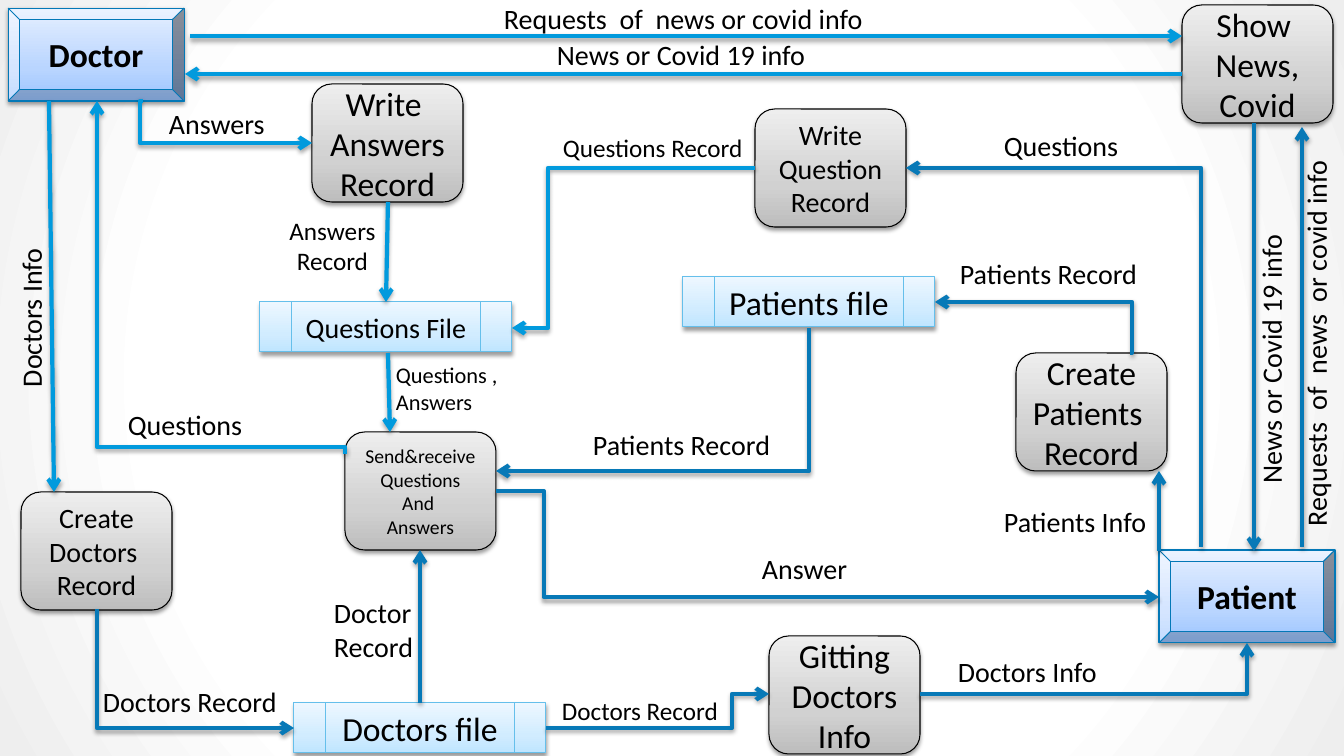
"""Build the data flow diagram of a doctor and patient question service."""
import lxml.etree
import pptx
import pptx.dml.color
import pptx.enum.shapes
import pptx.enum.text
import pptx.oxml.ns
import pptx.util

PX = 914400 / 100.8
FONT = "Calibri"
BLACK = "000000"
LIGHT_BLUE = "019ADD"
DARK_BLUE = "0779B7"
SHAPES = pptx.enum.shapes.MSO_SHAPE
LINKS = pptx.enum.shapes.MSO_CONNECTOR
CENTER = pptx.enum.text.PP_ALIGN.CENTER
qn = pptx.oxml.ns.qn

ENTITY = (SHAPES.BEVEL, 176, 93, ((0, "9CC5FF"), (35, "B9D5FF"), (100, "E5EFFF")), "0378B7", True)
PROCESS = (SHAPES.ROUNDED_RECTANGLE, 151, 118,
           ((0, "BDBDBD"), (35, "D1D1D1"), (100, "EEEEEE")), BLACK, False)
STORE = (SHAPES.FLOWCHART_PREDEFINED_PROCESS, 252, 50,
         ((0, "BFE5FF"), (35, "D1ECFF"), (100, "EDF7FF")), "65BFEB", False)

NODES = [
    (ENTITY, 8, 8, 24, "Doctor"),
    (ENTITY, 1159, 550, 24, "Patient"),
    (PROCESS, 312, 84, 24, "Write \nAnswers\nRecord"),
    (PROCESS, 769, 636, 24, "Gitting\nDoctors\nInfo"),
    (PROCESS, 1016, 353, 24, "Create\nPatients \nRecord"),
    (PROCESS, 755, 109, 20, "Write\nQuestion\nRecord"),
    (PROCESS, 1182, 5, 24, "Show \nNews,\nCovid"),
    (PROCESS, 345, 432, 14, "Send&receive\nQuestions\nAnd \nAnswers"),
    (PROCESS, 21, 492, 20, "Create\nDoctors \nRecord"),
    (STORE, 260, 302, 20, "Questions File"),
    (STORE, 294, 703, 24, "Doctors file"),
    (STORE, 683, 277, 24, "Patients file"),
]

STRAIGHT_ARROWS = [
    (LIGHT_BLUE, (190, 36), (1182, 36)),
    (LIGHT_BLUE, (1182, 74), (185, 74)),
    (LIGHT_BLUE, (49, 101), (54, 492)),
    (LIGHT_BLUE, (388, 202), (386, 302)),
    (LIGHT_BLUE, (388, 353), (390, 432)),
    (DARK_BLUE, (1302, 547), (1302, 127)),
    (DARK_BLUE, (1254, 123), (1254, 551)),
    (DARK_BLUE, (1159, 551), (1159, 471)),
    (DARK_BLUE, (420, 703), (420, 550)),
]

BENT_ARROWS = [
    (LIGHT_BLUE, (143, 101), (312, 143), False, 140),
    (LIGHT_BLUE, (345, 454), (97, 101), True, 447),
    (LIGHT_BLUE, (755, 168), (512, 328), False, 548),
    (DARK_BLUE, (1201, 547), (906, 168), True, None),
    (DARK_BLUE, (496, 491), (1159, 597), False, 544),
    (DARK_BLUE, (920, 694), (1247, 643), False, None),
    (DARK_BLUE, (546, 728), (769, 694), False, 732),
    (DARK_BLUE, (97, 609), (294, 728), True, None),
    (DARK_BLUE, (1130, 353), (935, 302), False, 1132),
    (DARK_BLUE, (809, 328), (496, 471), True, None),
]

LABELS = [
    (494, -3, 382, 20, "Requests  of  news or covid info"),
    (547, 33, 270, 20, "News or Covid 19 info"),
    (159, 102, 117, 20, "Answers"),
    (118, 403, 136, 20, "Questions"),
    (752, 547, 107, 20, "Answer"),
    (279, 210, 107, 18, "Answers\nRecord"),
    (553, 127, 203, 18, "Questions Record"),
    (994, 124, 136, 20, "Questions"),
    (93, 680, 196, 20, "Doctors Record"),
    (324, 591, 155, 20, "Doctor Record"),
    (386, 356, 123, 16, "Questions ,\nAnswers"),
    (552, 690, 178, 18, "Doctors Record"),
    (948, 650, 160, 20, "Doctors Info"),
    (994, 500, 164, 20, "Patients Info"),
    (950, 252, 200, 20, "Patients Record"),
    (583, 423, 200, 20, "Patients Record"),
]

UPRIGHT_LABELS = [
    (-49, 295, 160, 20, "Doctors Info"),
    (1122, 320, 388, 20, "Requests  of  news  or covid info"),
    (1136, 336, 270, 20, "News or Covid 19 info"),
]


def px(n):
    """Turn pixels into EMU."""
    return pptx.util.Emu(round(n * PX))


def rgb(value):
    """Turn a hex string into a colour."""
    return pptx.dml.color.RGBColor.from_string(value)


def add(parent, tag, **attrs):
    """Append a child element with the given attributes."""
    child = lxml.etree.SubElement(parent, qn(tag))
    for key, value in attrs.items():
        child.set(key, str(value))
    return child


def set_gradient(owner, element, stops, radial=False):
    """Fill a shape or background with a gradient."""
    owner.fill.background()
    old = element.find(".//" + qn("a:noFill"))
    parent = old.getparent()
    grad = add(parent, "a:gradFill", rotWithShape=1)
    gs_list = add(grad, "a:gsLst")
    for position, color in stops:
        add(add(gs_list, "a:gs", pos=position * 1000), "a:srgbClr", val=color)
    if radial:
        circle = add(grad, "a:path", path="circle")
        add(circle, "a:fillToRect", l=50000, t=50000, r=50000, b=50000)
    else:
        add(grad, "a:lin", ang=16200000, scaled=0)
    parent.replace(old, grad)


def set_shadow(sp, distance, alpha):
    """Give a shape a soft shadow below it."""
    effects = add(sp._element.spPr, "a:effectLst")
    shadow = add(effects, "a:outerShdw", blurRad=40000, dist=distance, dir=5400000, rotWithShape=0)
    add(add(shadow, "a:srgbClr", val=BLACK), "a:alpha", val=alpha * 1000)


def set_text(sp, text, size, align=None, bold=False):
    """Write and format the text of a shape."""
    tf = sp.text_frame
    tf.text = text
    for p in tf.paragraphs:
        p.alignment = align
        for r in p.runs:
            r.font.name = FONT
            r.font.size = pptx.util.Pt(size)
            r.font.bold = bold
            r.font.color.rgb = rgb(BLACK)
    return tf


def add_node(s, style, x, y, size, text):
    """Add an entity, process or store."""
    shape, w, h, stops, line, bold = style
    sp = s.shapes.add_shape(shape, px(x), px(y), px(w), px(h))
    set_gradient(sp, sp._element, stops)
    sp.line.color.rgb = rgb(line)
    sp.line.width = pptx.util.Pt(0.75)
    set_shadow(sp, 20000, 38)
    tf = set_text(sp, text, size, CENTER, bold)
    tf.vertical_anchor = pptx.enum.text.MSO_ANCHOR.MIDDLE


def add_arrow(s, color, start, end, kind=LINKS.STRAIGHT):
    """Add a connector with an arrowhead at its end."""
    cx = s.shapes.add_connector(kind, *map(px, start + end))
    cx.line.color.rgb = rgb(color)
    cx.line.width = pptx.util.Pt(3)
    add(cx.line._get_or_add_ln(), "a:tailEnd", type="arrow")
    set_shadow(cx, 23000, 35)
    return cx


def add_bent_arrow(s, color, start, end, vertical, bend):
    """Add an elbow arrow, turned when it leaves vertically."""
    (x1, y1), (x2, y2) = start, end
    dx, dy = x2 - x1, y2 - y1
    turn = 0
    if vertical:
        turn = 1 if dx < 0 < dy else -1
        mx, my, u, v = (x1 + x2) / 2, (y1 + y2) / 2, turn * dy, -turn * dx
        start, end = (mx - u / 2, my - v / 2), (mx + u / 2, my + v / 2)
    cx = add_arrow(s, color, start, end, LINKS.ELBOW)
    spPr = cx._element.spPr
    if turn:
        spPr.find(qn("a:xfrm")).set("rot", str(turn * 5400000 % 21600000))
    geom = spPr.find(qn("a:prstGeom"))
    if bend is None:
        geom.set("prst", "bentConnector2")
    else:
        ratio = (bend - y1) / dy if vertical else (bend - x1) / dx
        add(geom.find(qn("a:avLst")), "a:gd", name="adj1", fmla=f"val {round(ratio * 100000)}")


def add_label(s, x, y, w, size, text, rotation=0):
    """Add the name of a flow."""
    lines = text.count("\n") + 1
    wraps = text == "Doctor Record"
    height = 10 + (lines + wraps) * size * 1.7
    sp = s.shapes.add_textbox(px(x), px(y), px(w), px(height))
    sp.rotation = rotation
    centred = text == "Answers\nRecord"
    tf = set_text(sp, text, size, CENTER if centred else None)
    tf.word_wrap = wraps
    tf.auto_size = pptx.enum.text.MSO_AUTO_SIZE.SHAPE_TO_FIT_TEXT


def main():
    """Draw the diagram and save it."""
    prs = pptx.Presentation()
    prs.slide_width, prs.slide_height = px(1344), px(756)
    s = prs.slides.add_slide(prs.slide_layouts[6])
    set_gradient(s.background, s._element, ((67, "FFFFFF"), (100, "EEEEEE")), radial=True)
    for node in NODES:
        add_node(s, *node)
    for arrow in STRAIGHT_ARROWS:
        add_arrow(s, *arrow)
    for arrow in BENT_ARROWS:
        add_bent_arrow(s, *arrow)
    for label in LABELS:
        add_label(s, *label)
    for label in UPRIGHT_LABELS:
        add_label(s, *label, rotation=270)
    prs.save("out.pptx")


if __name__ == "__main__":
    main()
